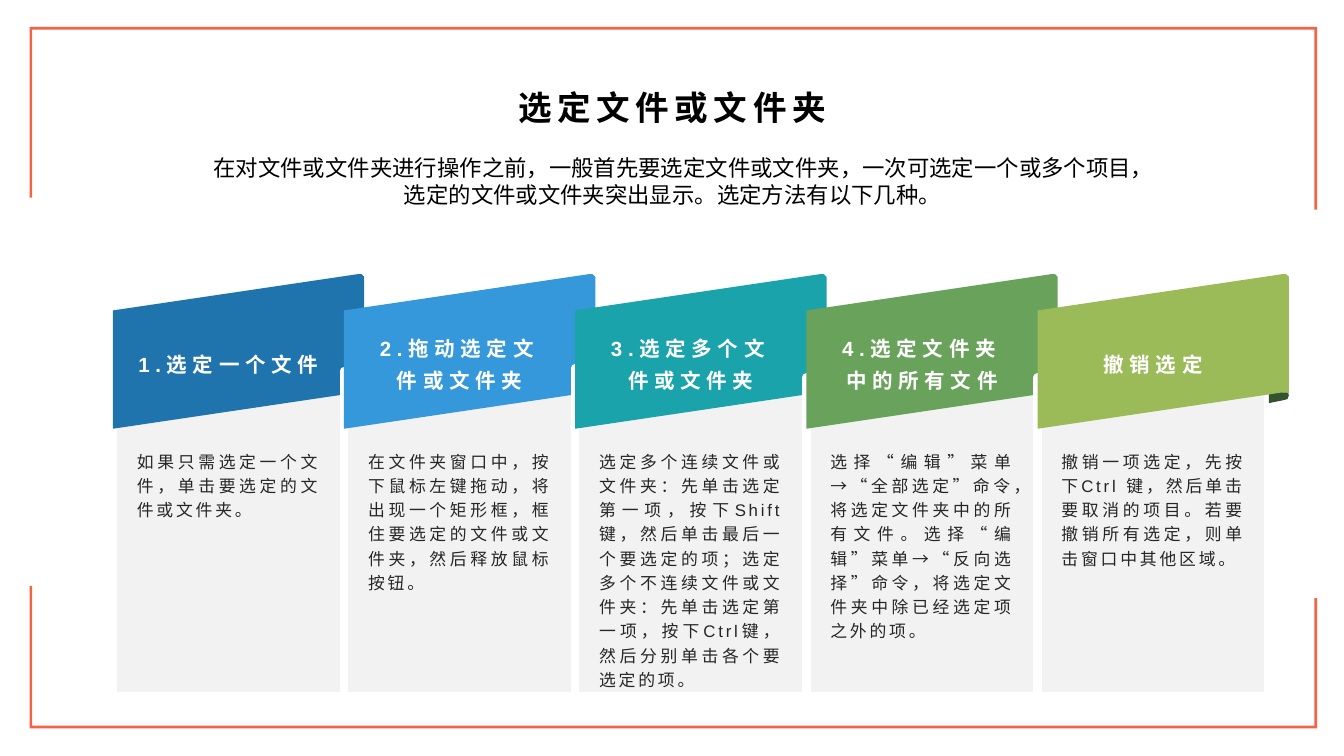
"""Build a slide with five ways of selecting files and folders."""
from dataclasses import dataclass, replace

import pptx
import pptx.dml.color
import pptx.enum.lang
import pptx.enum.shapes
import pptx.enum.text
import pptx.oxml.ns
import pptx.util
from lxml import etree

Inches = pptx.util.Inches
Align = pptx.enum.text.PP_ALIGN
Anchor = pptx.enum.text.MSO_ANCHOR
Point = tuple[float, float]

CJK_FONT = "Noto Sans CJK SC"
FIRST_LEFT, PITCH = 0.84, 1.72
FLAP_TOP, PANEL_BOTTOM = 2.03, 5.18
FLAP = [(0, 0.28), (1.82, 0.01), (1.85, 0.01), (1.87, 0.03), (1.87, 0.91),
        (1.86, 0.89), (1.82, 0.89), (0, 1.16)]
FOLD = [(1.72, 0.09), (1.82, 0.07), (1.82, 0.89), (1.86, 0.89), (1.87, 0.91),
        (1.86, 0.94), (1.82, 0.95), (1.72, 0.97)]
FRAME_TOP = [(0.22, 0.2), (9.8, 0.2), (9.8, 1.56), (9.78, 1.56),
             (9.78, 0.22), (0.24, 0.22), (0.24, 1.47), (0.22, 1.47)]
FRAME_BOTTOM = [(0.22, 4.36), (0.24, 4.36), (0.24, 5.4), (9.78, 5.4),
                (9.78, 4.45), (9.8, 4.45), (9.8, 5.42), (0.22, 5.42)]


@dataclass
class TextStyle:
    size: float
    color: str
    align: Align
    line_spacing: float = 1.0
    letter_spacing: float = 0
    bold: bool = False
    font: str = "Arial"
    anchor: Anchor = Anchor.TOP
    insets: tuple[float, float, float, float] = (0.1, 0.05, 0.1, 0.05)
    grow: bool = True


@dataclass
class Panel:
    heading: str
    body: str
    flap_color: str
    fold_color: str
    top: float
    heading_top: float
    heading_height: float
    heading_style: TextStyle
    body_height: float


TITLE = TextStyle(18, "000000", Align.CENTER, 1.2, 3, True,
                  anchor=Anchor.MIDDLE, grow=False)
INTRO = TextStyle(12, "000000", Align.CENTER, font=CJK_FONT)
HEADING = TextStyle(11, "FFFFFF", Align.CENTER, 1.3, 3, True,
                    anchor=Anchor.MIDDLE, insets=(0.07, 0.04, 0.07, 0))
TWO_LINE_HEADING = replace(HEADING, insets=(0.12, 0.04, 0.12, 0))
BODY = TextStyle(9, "262626", Align.JUSTIFY, 1.2, 1.5)

PANELS = [
    Panel("1.选定一个文件",
          "如果只需选定一个文件，单击要选定的文件或文件夹。",
          "1F74AD", "175782", 2.8, 2.52, 0.28, HEADING, 0.64),
    Panel("2.拖动选定文件或文件夹",
          "在文件夹窗口中，按下鼠标左键拖动，将出现一个矩形框，"
          "框住要选定的文件或文件夹，然后释放鼠标按钮。",
          "3498DB", "175782", 2.76, 2.4, 0.52, TWO_LINE_HEADING, 1.19),
    Panel("3.选定多个文件或文件夹",
          "选定多个连续文件或文件夹：先单击选定第一项，按下Shift键，"
          "然后单击最后一个要选定的项；选定多个不连续文件或文件夹："
          "先单击选定第一项，按下Ctrl键，然后分别单击各个要选定的项。",
          "1AA3AA", "175782", 2.74, 2.4, 0.52, TWO_LINE_HEADING, 1.92),
    Panel("4.选定文件夹中的所有文件",
          "选择“编辑”菜单→“全部选定”命令，将选定文件夹中的所有文件。"
          "选择“编辑”菜单→“反向选择”命令，将选定文件夹中除已经选定项之外的项。",
          "69A35B", "35522E", 2.81, 2.4, 0.52, TWO_LINE_HEADING, 1.55),
    Panel("撤销选定",
          "撤销一项选定，先按下Ctrl 键，然后单击要取消的项目。"
          "若要撤销所有选定，则单击窗口中其他区域。",
          "9BBB59", "35522E", 2.81, 2.52, 0.28, HEADING, 1.01),
]


def rgb(color: str) -> pptx.dml.color.RGBColor:
    return pptx.dml.color.RGBColor.from_string(color)


def fill_shape(shape, color: str) -> None:
    shape.shadow.inherit = False
    shape.fill.solid()
    shape.fill.fore_color.rgb = rgb(color)
    shape.line.fill.background()


def draw_outline(page, outlines: list[list[Point]], color: str,
                 left: float = 0, top: float = 0) -> None:
    loops = [[(Inches(left + x), Inches(top + y)) for x, y in outline]
             for outline in outlines]
    builder = page.shapes.build_freeform(*loops[0][0])
    builder.add_line_segments(loops[0][1:], close=True)
    for loop in loops[1:]:
        builder.move_to(*loop[0])
        builder.add_line_segments(loop[1:], close=True)
    fill_shape(builder.convert_to_shape(), color)


def draw_text(page, text: str, left: float, top: float, width: float,
              height: float, style: TextStyle) -> None:
    box = page.shapes.add_textbox(Inches(left), Inches(top),
                                  Inches(width), Inches(height))
    frame = box.text_frame
    frame.word_wrap = True
    frame.vertical_anchor = style.anchor
    if style.grow:
        frame.auto_size = pptx.enum.text.MSO_AUTO_SIZE.SHAPE_TO_FIT_TEXT
    (frame.margin_left, frame.margin_top,
     frame.margin_right, frame.margin_bottom) = map(Inches, style.insets)
    para = frame.paragraphs[0]
    para.alignment = style.align
    para.line_spacing = style.line_spacing
    para.font.name = style.font
    para.font.size = pptx.util.Pt(style.size)
    para.font.bold = style.bold
    para.font.color.rgb = rgb(style.color)
    span = para.add_run()
    span.text = text
    span.font.language_id = pptx.enum.lang.MSO_LANGUAGE_ID.SIMPLIFIED_CHINESE
    properties = span._r.get_or_add_rPr()
    properties.set("spc", str(round(style.letter_spacing * 100)))
    etree.SubElement(properties, pptx.oxml.ns.qn("a:ea"), typeface=CJK_FONT)


def draw_panel(page, panel: Panel, left: float) -> None:
    card = page.shapes.add_shape(
        pptx.enum.shapes.MSO_SHAPE.RECTANGLE, Inches(left), Inches(panel.top),
        Inches(PITCH), Inches(PANEL_BOTTOM - panel.top))
    fill_shape(card, "F2F2F2")
    card.line.color.rgb = rgb("FFFFFF")
    card.line.width = pptx.util.Pt(4.5)
    draw_outline(page, [FOLD], panel.fold_color, left, FLAP_TOP)
    draw_outline(page, [FLAP], panel.flap_color, left, FLAP_TOP)
    draw_text(page, panel.heading, left + 0.08, panel.heading_top, 1.56,
              panel.heading_height, panel.heading_style)
    draw_text(page, panel.body, left + 0.08, 3.28, 1.56,
              panel.body_height, BODY)


def main() -> None:
    deck = pptx.Presentation()
    deck.slide_width, deck.slide_height = Inches(10), Inches(10) * 9 // 16
    page = deck.slides.add_slide(deck.slide_layouts[6])
    draw_outline(page, [FRAME_TOP, FRAME_BOTTOM], "F46346")
    draw_text(page, "选定文件或文件夹", 3.19, 0.5, 3.62, 0.53, TITLE)
    draw_text(page, "在对文件或文件夹进行操作之前，一般首先要选定文件或文件夹，"
              "一次可选定一个或多个项目，选定的文件或文件夹突出显示。"
              "选定方法有以下几种。", 1.43, 1.1, 7.15, 0.5, INTRO)
    for index, panel in enumerate(PANELS):
        draw_panel(page, panel, FIRST_LEFT + index * PITCH)
    deck.save("out.pptx")


if __name__ == "__main__":
    main()
